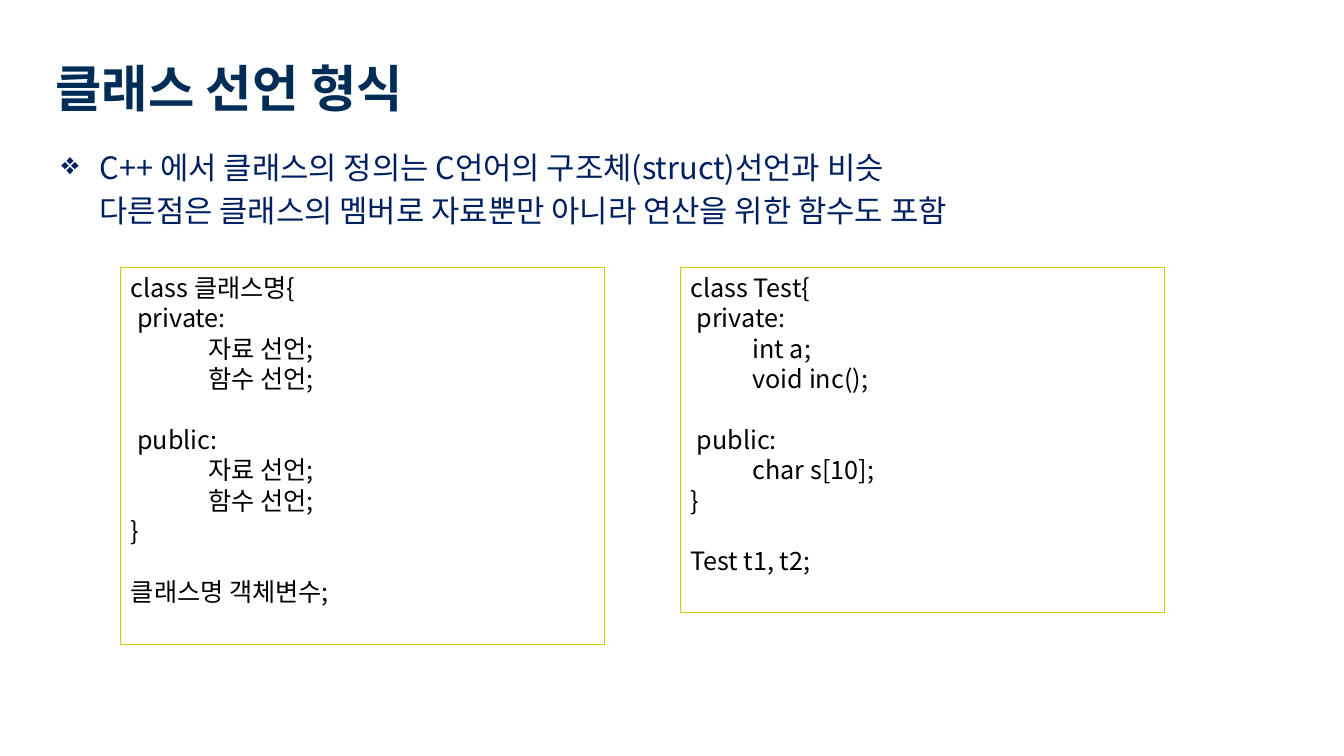
"""Build the slide on the form of a class declaration."""
from lxml.etree import SubElement
from pptx import Presentation
from pptx.dml.color import RGBColor
from pptx.enum.shapes import MSO_SHAPE as Shape
from pptx.enum.text import MSO_ANCHOR as Anchor, PP_ALIGN as Align
from pptx.oxml.ns import qn
from pptx.util import Pt

FONT = "Noto Sans CJK KR"
CODE_PITCH = 21.7


def color(value):
    return RGBColor.from_string(value)


def write(paragraph, text, size=18, fill="000000", bold=False, pitch=CODE_PITCH,
          before=0, indent=0, hanging=0, bullet=None):
    paragraph.text = text
    paragraph.alignment = Align.LEFT
    paragraph.line_spacing = Pt(pitch)
    paragraph.space_before = Pt(before)
    properties = paragraph._p.get_or_add_pPr()
    properties.set("marL", str(Pt(indent)))
    properties.set("indent", str(Pt(-hanging)))
    if bullet:
        SubElement(properties, qn("a:buChar")).set("char", bullet)
    for run in paragraph.runs:
        run.font.name = FONT
        run.font.size = Pt(size)
        run.font.bold = bold
        run.font.color.rgb = color(fill)
        SubElement(run._r.get_or_add_rPr(), qn("a:ea")).set("typeface", FONT)


def prepare_frame(shape, anchor=Anchor.TOP, margins=(7.2, 3.6, 7.2, 3.6)):
    frame = shape.text_frame
    frame.word_wrap = True
    frame.vertical_anchor = anchor
    (frame.margin_left, frame.margin_top,
     frame.margin_right, frame.margin_bottom) = map(Pt, margins)
    return frame


def add_title(slide, box, text):
    shape = slide.shapes.add_textbox(*map(Pt, box))
    frame = prepare_frame(shape, Anchor.BOTTOM)
    write(frame.paragraphs[0], text, size=36, fill="002D56", bold=True, pitch=43.2)


def add_summary(slide, box, text):
    shape = slide.shapes.add_textbox(*map(Pt, box))
    frame = prepare_frame(shape, margins=(0, 1.7, 0, 0))
    write(frame.paragraphs[0], text, size=22, fill="002060", pitch=30.7,
          indent=28, hanging=27.4, bullet="❖")


def add_code(slide, box, blocks, member_indent):
    shape = slide.shapes.add_shape(Shape.RECTANGLE, *map(Pt, box))
    shape.shadow.inherit = False
    shape.fill.background()
    shape.line.color.rgb = color("CCCC00")
    shape.line.width = Pt(0.75)
    frame = prepare_frame(shape)
    indents = (0, 4.5, member_indent)
    paragraph = frame.paragraphs[0]
    for block_number, block in enumerate(blocks):
        for line_number, (level, text) in enumerate(block):
            if block_number or line_number:
                paragraph = frame.add_paragraph()
            starts_block = block_number > 0 and line_number == 0
            write(paragraph, text, indent=indents[level],
                  before=CODE_PITCH if starts_block else 0)


def main():
    presentation = Presentation()
    presentation.slide_width, presentation.slide_height = Pt(960), Pt(540)
    slide = presentation.slides.add_slide(presentation.slide_layouts[6])
    add_title(slide, (32.4, 9.4, 800.6, 77.8), "클래스 선언 형식")
    add_summary(slide, (43.2, 100, 733, 62),
                "C++ 에서 클래스의 정의는 C언어의 구조체(struct)선언과 비슷\v"
                "다른점은 클래스의 멤버로 자료뿐만 아니라 연산을 위한 함수도 포함")
    members = [(2, "자료 선언;"), (2, "함수 선언;")]
    add_code(slide, (86.4, 190.8, 345.6, 269.3), [
        [(0, "class 클래스명{"), (1, "private:"), *members],
        [(1, "public:"), *members, (0, "}")],
        [(0, "클래스명 객체변수;")],
    ], member_indent=55.5)
    add_code(slide, (486, 190.8, 345.6, 247), [
        [(0, "class Test{"), (1, "private:"), (2, "int a;"), (2, "void inc();")],
        [(1, "public:"), (2, "char s[10];"), (0, "}")],
        [(0, "Test t1, t2;")],
    ], member_indent=44.5)
    presentation.save("out.pptx")


main()
